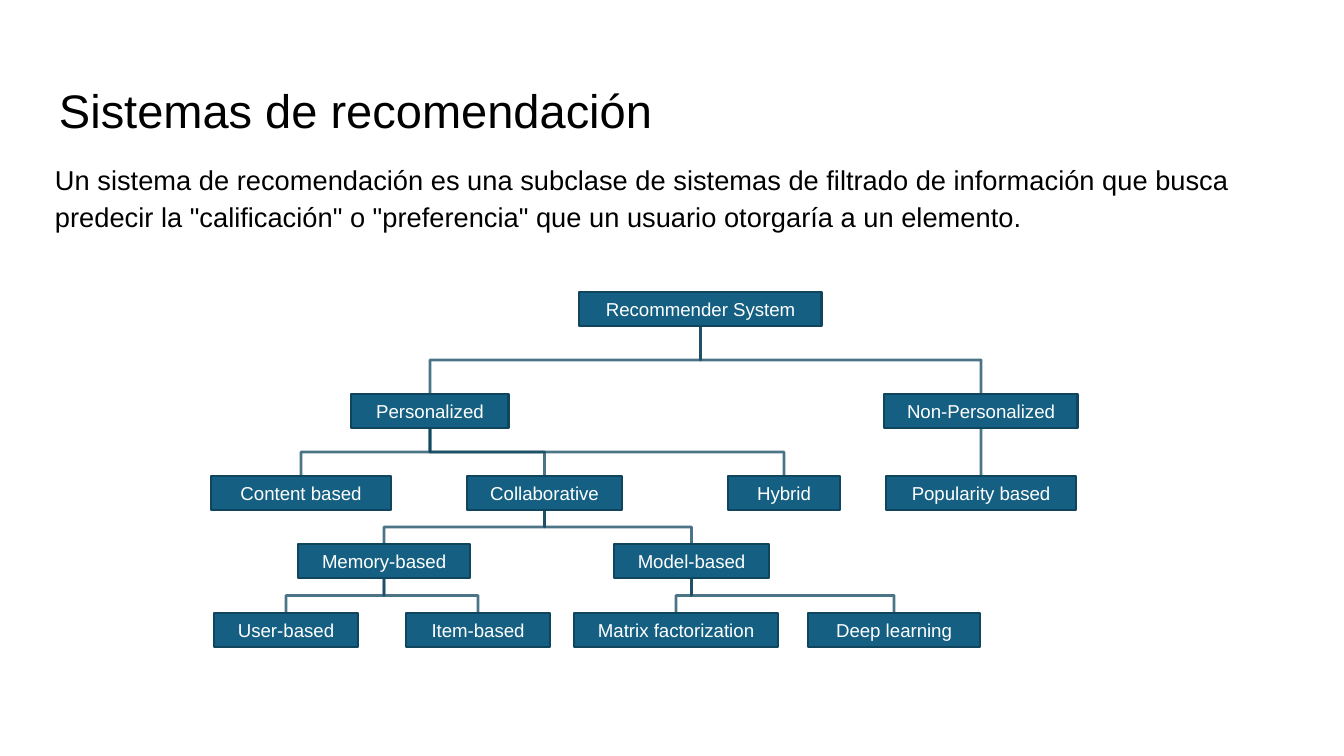
from lxml import etree
from pptx import Presentation
from pptx.dml.color import RGBColor
from pptx.enum.shapes import MSO_CONNECTOR, MSO_SHAPE
from pptx.enum.text import MSO_ANCHOR, PP_ALIGN
from pptx.oxml.ns import qn
from pptx.util import Emu, Pt

RECT = MSO_SHAPE.RECTANGLE
STRAIGHT, ELBOW = MSO_CONNECTOR.STRAIGHT, MSO_CONNECTOR.ELBOW
TOP, MIDDLE, BOTTOM = MSO_ANCHOR.TOP, MSO_ANCHOR.MIDDLE, MSO_ANCHOR.BOTTOM
LEFT, CENTER = PP_ALIGN.LEFT, PP_ALIGN.CENTER
SITE_TOP, SITE_BOTTOM = 0, 2
DEGREE = 60000


def px(n):
    return Emu(round(n * 914400 / 134.4))


def rgb(hex_color):
    return RGBColor.from_string(hex_color)


def write(shape, text, size, color, font="Arial", align=LEFT, anchor=TOP,
          pad=(13, 13), spacing=None):
    tf = shape.text_frame
    tf.word_wrap = True
    tf.vertical_anchor = anchor
    tf.margin_left = tf.margin_right = px(pad[0])
    tf.margin_top = tf.margin_bottom = px(pad[1])
    p = tf.paragraphs[0]
    p.alignment = align
    if spacing:
        p.line_spacing = spacing
    r = p.add_run()
    r.text = text
    r.font.size = Pt(size)
    r.font.name = font
    r.font.color.rgb = rgb(color)


class TreeSlide:
    ink, fill, edge, white = "000000", "156082", "0F465E", "FFFFFF"
    line_width, box_height = 1.5, 34

    def __init__(self, prs):
        self.s = prs.slides.add_slide(prs.slide_layouts[6])

    def text(self, x, y, w, h, text, size, **fmt):
        sp = self.s.shapes.add_textbox(px(x), px(y), px(w), px(h))
        write(sp, text, size, self.ink, **fmt)

    def box(self, x, y, w, text):
        sp = self.s.shapes.add_shape(RECT, px(x), px(y), px(w), px(self.box_height))
        sp.shadow.inherit = False
        sp.fill.solid()
        sp.fill.fore_color.rgb = rgb(self.fill)
        sp.line.color.rgb = rgb(self.edge)
        sp.line.width = Pt(self.line_width)
        write(sp, text, 10, self.white, align=CENTER, anchor=MIDDLE, pad=(20, 9))
        return sp

    def branch(self, parent, child):
        """Join the bottom of parent to the top of child."""
        c = self.s.shapes.add_connector(ELBOW, 0, 0, 0, 0)
        c.begin_connect(parent, SITE_BOTTOM)
        c.end_connect(child, SITE_TOP)
        dx, dy = c.end_x - c.begin_x, c.end_y - c.begin_y
        spPr = c._element.spPr
        if abs(dx) < px(1):
            spPr.find(qn("a:prstGeom")).set("prst", "line")
        else:
            self.turn(c, dx, dy)
        c.line.color.rgb = rgb(self.edge)
        c.line.width = Pt(self.line_width)
        color = spPr.find(".//" + qn("a:srgbClr"))
        etree.SubElement(color, qn("a:alpha")).set("val", "75000")
        etree.SubElement(spPr, qn("a:effectLst"))

    def turn(self, c, dx, dy):
        """Rotate an elbow about its centre so that it leaves downwards."""
        mid_x, mid_y = c.begin_x + dx // 2, c.begin_y + dy // 2
        xfrm = c._element.spPr.xfrm
        xfrm.flipH, xfrm.flipV = dx > 0, False
        xfrm.set("rot", str((270 if dx > 0 else 90) * DEGREE))
        c.width, c.height = dy, abs(dx)
        c.left, c.top = mid_x - dy // 2, mid_y - abs(dx) // 2


# Tree levels: top, then (name, left, width, parent)
LEVELS = [
    (292, [("Recommender System", 579, 243, None)]),
    (394, [("Personalized", 351, 158, "Recommender System"),
           ("Non-Personalized", 884, 194, "Recommender System")]),
    (476, [("Content based", 211, 180, "Personalized"),
           ("Collaborative", 467, 155, "Personalized"),
           ("Hybrid", 728, 112, "Personalized"),
           ("Popularity based", 886, 190, "Non-Personalized")]),
    (544, [("Memory-based", 298, 172, "Collaborative"),
           ("Model-based", 614, 155, "Collaborative")]),
    (613, [("User-based", 214, 144, "Memory-based"),
           ("Item-based", 406, 144, "Memory-based"),
           ("Matrix factorization", 574, 204, "Model-based"),
           ("Deep learning", 808, 172, "Model-based")]),
]


def main():
    prs = Presentation()
    prs.slide_width, prs.slide_height = px(1344), px(756)
    slide = TreeSlide(prs)

    # Title and definition
    slide.text(46, 66, 1252, 85, "Sistemas de recomendación", 25.2, anchor=BOTTOM)
    slide.text(42, 151, 1277, 103,
               "Un sistema de recomendación es una subclase de sistemas de filtrado "
               "de información que busca predecir la \"calificación\" o "
               "\"preferencia\" que un usuario otorgaría a un elemento.",
               14.6, pad=(13, 7), spacing=1.15)

    # Boxes
    boxes, links = {}, []
    for top, nodes in LEVELS:
        for name, left, width, parent in nodes:
            boxes[name] = slide.box(left, top, width, name)
            if parent:
                links.append((parent, name))

    # Branches
    for parent, child in links:
        slide.branch(boxes[parent], boxes[child])

    prs.save("out.pptx")


if __name__ == "__main__":
    main()
